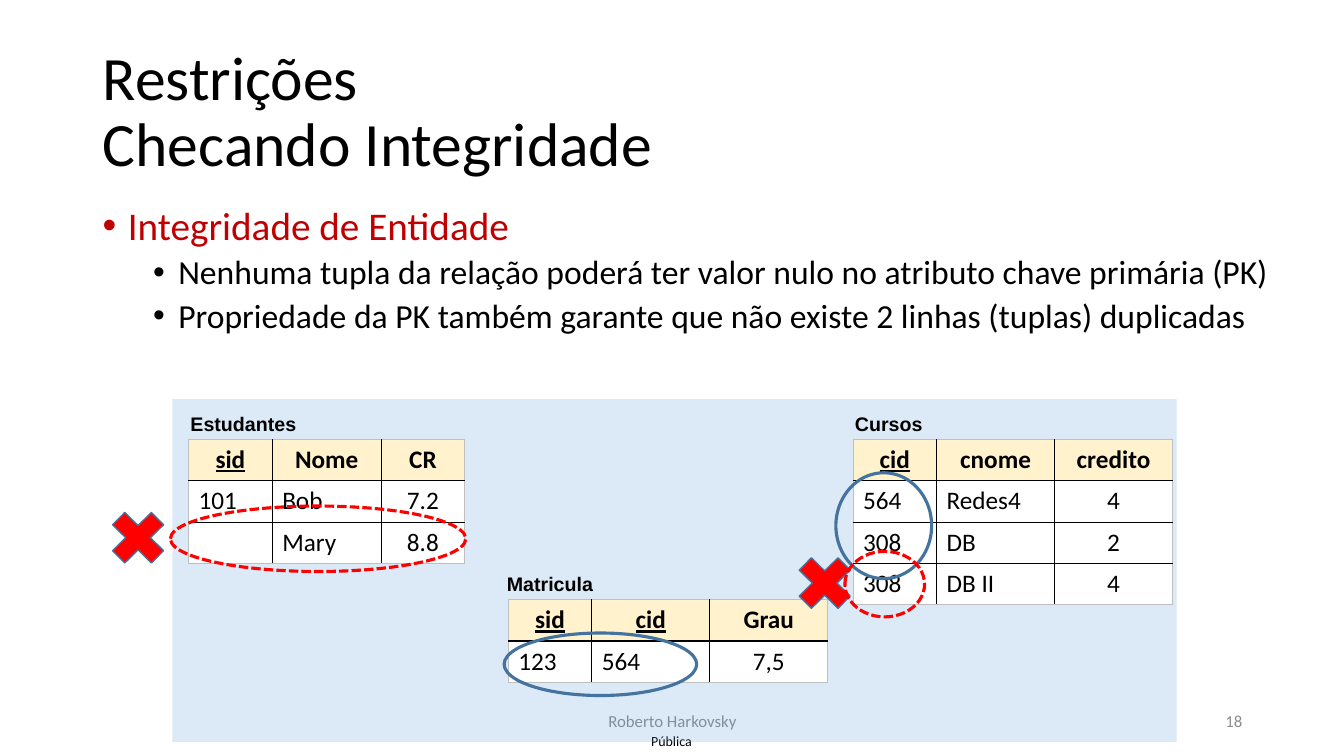
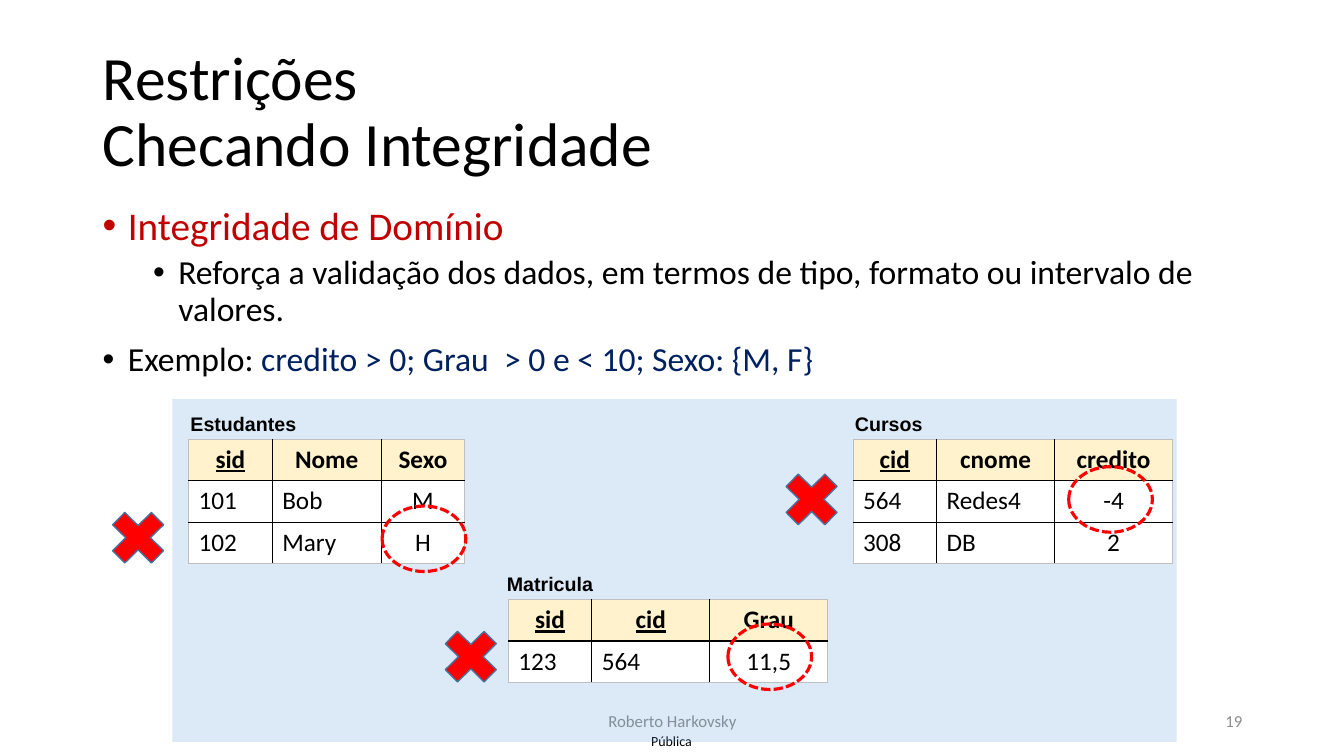
from lxml.etree import SubElement
from pptx import Presentation
from pptx.dml.color import RGBColor
from pptx.enum.dml import MSO_LINE
from pptx.enum.shapes import MSO_SHAPE
from pptx.enum.text import MSO_ANCHOR, PP_ALIGN
from pptx.oxml.ns import qn
from pptx.util import Inches, Pt

BLACK = RGBColor(0x00, 0x00, 0x00)
WHITE = RGBColor(0xFF, 0xFF, 0xFF)
CRIMSON = RGBColor(0xC0, 0x00, 0x00)
NAVY = RGBColor(0x00, 0x20, 0x60)
GRAY = RGBColor(0x8C, 0x8C, 0x8C)
EDGE_GRAY = RGBColor(0xBF, 0xBF, 0xBF)
PANEL_BLUE = RGBColor(0x5B, 0x9B, 0xD5)
LINE_BLUE = RGBColor(0x43, 0x73, 0x9E)
RED = RGBColor(0xFF, 0x00, 0x00)
CREAM = RGBColor(0xFF, 0xF2, 0xCC)

ROW_HEIGHT = 0.41
NARROW, MEDIUM, WIDE = 0.83, 1.08, 1.17


class Deck:
    """Holds the shared style and the slide being built."""

    def __init__(self):
        self.presentation = Presentation()
        self.presentation.slide_width = Inches(13.33)
        self.presentation.slide_height = Inches(7.5)
        self.slide = None

    def start_slide(self, number, bullets):
        """Adds a slide with title, bullets, footers and the blue panel."""
        layout = self.presentation.slide_layouts[6]
        self.slide = self.presentation.slides.add_slide(layout)
        self.text("Pública", 6.31, 7.21, 0.7, 0.29, 10, align=PP_ALIGN.CENTER,
                  margin=0)
        title = self.text("Restrições\vChecando Integridade",
                          0.92, 0.4, 11.5, 1.45, 44)
        title.text_frame.paragraphs[0].line_spacing = 0.9
        self.bullets(bullets)
        self.text("Roberto Harkovsky", 4.42, 6.95, 4.5, 0.4, 12, GRAY,
                  PP_ALIGN.CENTER)
        self.text(str(number), 9.42, 6.95, 3, 0.4, 12, GRAY, PP_ALIGN.RIGHT)
        self.panel()

    def style_run(self, run, size, color=BLACK, font="Calibri", bold=False,
                  underline=False):
        run.font.name = font
        run.font.size = Pt(size)
        run.font.color.rgb = color
        run.font.bold = bold
        run.font.underline = underline

    def text(self, content, left, top, width, height, size, color=BLACK,
             align=PP_ALIGN.LEFT, font="Calibri", bold=False, margin=None):
        box = self.slide.shapes.add_textbox(
            Inches(left), Inches(top), Inches(width), Inches(height))
        frame = box.text_frame
        frame.word_wrap = True
        frame.vertical_anchor = MSO_ANCHOR.MIDDLE
        if margin is not None:
            frame.margin_left = frame.margin_right = Inches(margin)
            frame.margin_top = frame.margin_bottom = Inches(margin)
        frame.text = content
        paragraph = frame.paragraphs[0]
        paragraph.alignment = align
        for run in paragraph.runs:
            self.style_run(run, size, color, font, bold)
        return box

    def bullets(self, items):
        """Each item is (level, size, [(text, color), ...])."""
        box = self.slide.shapes.add_textbox(
            Inches(0.92), Inches(2), Inches(11.81), Inches(1.9))
        frame = box.text_frame
        frame.word_wrap = True
        for index, (level, size, parts) in enumerate(items):
            paragraph = frame.add_paragraph() if index else frame.paragraphs[0]
            paragraph.level = level
            paragraph.line_spacing = 0.9
            spacing = 5 if level else 10
            paragraph.space_before = Pt(spacing if index else 0)
            properties = paragraph._p.get_or_add_pPr()
            properties.set("marL", str(Inches(0.25 + 0.5 * level)))
            properties.set("indent", str(Inches(-0.25)))
            SubElement(properties, qn("a:buFont"), typeface="Arial")
            SubElement(properties, qn("a:buChar"), char="•")
            for content, color in parts:
                run = paragraph.add_run()
                run.text = content
                self.style_run(run, size, color)

    def shape(self, kind, left, top, width, height, fill=None, line=None,
              line_width=1):
        shape = self.slide.shapes.add_shape(
            kind, Inches(left), Inches(top), Inches(width), Inches(height))
        shape.shadow.inherit = False
        if fill is None:
            shape.fill.background()
        else:
            shape.fill.solid()
            shape.fill.fore_color.rgb = fill
        if line is None:
            shape.line.fill.background()
        else:
            shape.line.color.rgb = line
            shape.line.width = Pt(line_width)
        return shape

    def panel(self):
        panel = self.shape(MSO_SHAPE.RECTANGLE, 1.71, 3.96, 9.96, 3.4,
                           PANEL_BLUE)
        color = panel._element.spPr.find(qn("a:solidFill"))[0]
        SubElement(color, qn("a:alpha"), val="21000")

    def key_ring(self, left, top, width, height):
        self.shape(MSO_SHAPE.OVAL, left, top, width, height,
                   line=LINE_BLUE, line_width=2.25)

    def error_ring(self, left, top, width=0.83, height=0.65):
        ring = self.shape(MSO_SHAPE.OVAL, left, top, width, height,
                          line=RED, line_width=2.25)
        ring.line.dash_style = MSO_LINE.SQUARE_DOT

    def cross(self, left, top):
        self.shape(MSO_SHAPE.MATH_MULTIPLY, left, top, 0.74, 0.73,
                   RED, LINE_BLUE)

    def border(self, cell, side, color):
        line = SubElement(cell._tc.get_or_add_tcPr(), qn(f"a:ln{side}"),
                          w=str(Pt(1 if color == BLACK else 0.5)))
        fill = SubElement(line, qn("a:solidFill"))
        SubElement(fill, qn("a:srgbClr"), val=str(color))

    def relation(self, name, name_left, left, top, widths, rows, keys=1):
        """Draws a named table whose first `keys` headings are underlined."""
        self.text(name, name_left, top - 0.33, 1.83, 0.34, 14,
                  align=PP_ALIGN.CENTER, font="Arial", bold=True)
        row_count, column_count = len(rows), len(widths)
        table = self.slide.shapes.add_table(
            row_count, column_count, Inches(left), Inches(top),
            Inches(sum(widths)), Inches(ROW_HEIGHT * row_count)).table
        table.horz_banding = False
        for column, width in zip(table.columns, widths):
            column.width = Inches(width)
        for r, values in enumerate(rows):
            table.rows[r].height = Inches(ROW_HEIGHT)
            for c, value in enumerate(values):
                cell = table.cell(r, c)
                outer = {"L": c == 0, "R": c == column_count - 1,
                         "T": r == 0, "B": r == row_count - 1}
                for side, is_outer in outer.items():
                    self.border(cell, side, EDGE_GRAY if is_outer else BLACK)
                heading = r == 0
                cell.fill.solid()
                cell.fill.fore_color.rgb = CREAM if heading else WHITE
                cell.text_frame.text = value
                paragraph = cell.text_frame.paragraphs[0]
                if heading or c == column_count - 1:
                    paragraph.alignment = PP_ALIGN.CENTER
                for run in paragraph.runs:
                    self.style_run(run, 18, bold=heading,
                                   underline=heading and c < keys)

    def relations(self, students, courses, grade):
        self.relation("Estudantes", 1.5, 1.87, 4.36,
                      [NARROW, MEDIUM, NARROW], students)
        self.relation("Cursos", 7.9, 8.46, 4.36, [NARROW, WIDE, WIDE],
                      [("cid", "cnome", "credito")] + courses)
        self.relation("Matricula", 4.54, 5.04, 5.95, [NARROW, WIDE, WIDE],
                      [("sid", "cid", "Grau"), ("123", "564", grade)], keys=2)


def entity_integrity(deck):
    deck.start_slide(18, [
        (0, 28, [("Integridade de Entidade", CRIMSON)]),
        (1, 24, [("Nenhuma tupla da relação poderá ter valor nulo no "
                  "atributo chave primária (PK)", BLACK)]),
        (1, 24, [("Propriedade da PK também garante que não existe 2 linhas "
                  "(tuplas) duplicadas", BLACK)]),
    ])
    deck.relations(
        [("sid", "Nome", "CR"), ("101", "Bob", "7.2"), ("", "Mary", "8.8")],
        [("564", "Redes4", "4"), ("308", "DB", "2"), ("308", "DB II", "4")],
        "7,5")
    deck.key_ring(5, 6.28, 1.91, 0.62)
    deck.error_ring(1.69, 5.02, width=2.93)
    deck.key_ring(8.29, 4.69, 0.95, 1.05)
    deck.cross(1, 4.97)
    deck.cross(7.81, 5.42)
    deck.error_ring(8.38, 5.47, width=0.79)


def domain_integrity(deck):
    deck.start_slide(19, [
        (0, 28, [("Integridade de Domínio", CRIMSON)]),
        (1, 24, [("Reforça a validação dos dados, em termos de tipo, formato "
                  "ou intervalo de valores.", BLACK)]),
        (0, 24, [("Exemplo: ", BLACK),
                 ("credito > 0; Grau  > 0 e < 10; Sexo: {M, F}", NAVY)]),
    ])
    deck.relations(
        [("sid", "Nome", "Sexo"), ("101", "Bob", "M"), ("102", "Mary", "H")],
        [("564", "Redes4", "-4"), ("308", "DB", "2")],
        "11,5")
    for ring, cross in [((3.79, 5.02), (1, 4.97)),
                        ((7.22, 6.19), (4.3, 6.15)),
                        ((10.6, 4.63), (7.68, 4.59))]:
        deck.error_ring(*ring)
        deck.cross(*cross)


def main():
    deck = Deck()
    entity_integrity(deck)
    domain_integrity(deck)
    deck.presentation.save("out.pptx")


if __name__ == "__main__":
    main()
